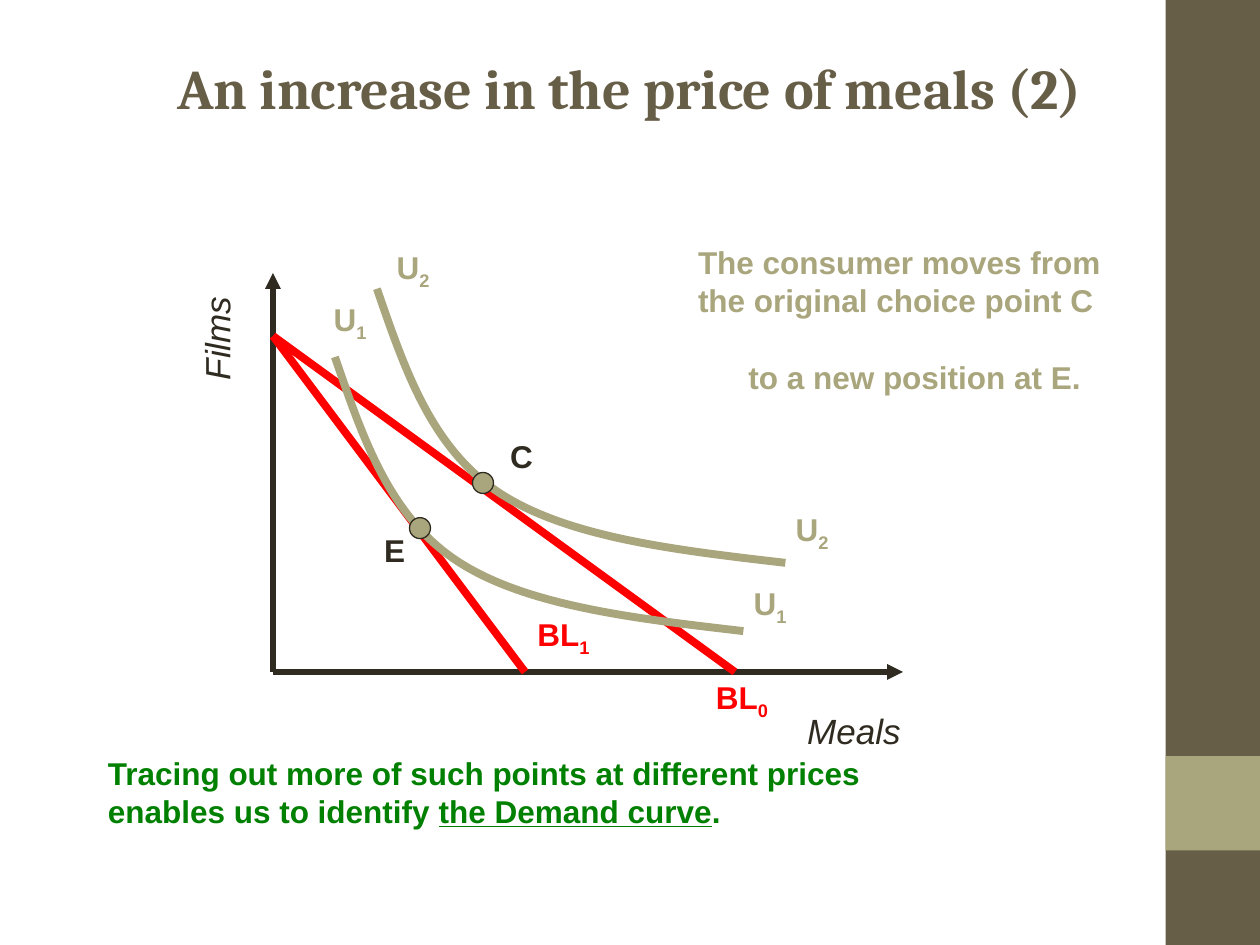
from lxml.etree import SubElement as Sub
from pptx import Presentation
from pptx.dml.color import RGBColor as RGB
from pptx.enum.shapes import MSO_CONNECTOR as Link, MSO_SHAPE as Kind
from pptx.enum.text import MSO_ANCHOR as Anchor, MSO_AUTO_SIZE as Fit, PP_ALIGN as Align
from pptx.oxml.ns import qn
from pptx.util import Inches, Pt

BROWN = RGB(0x67, 0x5E, 0x47)
SAND = RGB(0xA9, 0xA5, 0x7C)
DARK = RGB(0x2F, 0x2B, 0x20)
RED = RGB(0xFF, 0x00, 0x00)
GREEN = RGB(0x00, 0x80, 0x00)
COLS, ROWS = 120, 90


def put(para, text, size=18, color=DARK, face="Arial", bold=True, slant=False, under=False, low=False):
    """Add one formatted run to a paragraph."""
    run = para.add_run()
    run.text = text
    font = run.font
    font.name, font.size, font.bold = face, Pt(size), bold
    font.italic, font.underline = slant, under
    font.color.rgb = color
    if low:
        run._r.get_or_add_rPr().set("baseline", "-25000")


class Board:
    """Style and current slide, measured on a grid of 120 columns by 90 rows."""

    def __init__(self, deck):
        self.slide = deck.slides.add_slide(deck.slide_layouts[5])
        self.shapes = self.slide.shapes
        self.col = deck.slide_width / COLS
        self.row = deck.slide_height / ROWS

    def spot(self, x, y):
        return round(x * self.col), round(y * self.row)

    def title(self, text, x, y, w, h):
        box = self.shapes.title
        box.left, box.top = self.spot(x, y)
        box.width, box.height = self.spot(w, h)
        frame = box.text_frame
        frame.vertical_anchor = Anchor.TOP
        frame.auto_size = Fit.NONE
        para = frame.paragraphs[0]
        para.alignment = Align.CENTER
        put(para, text, size=32, color=BROWN, face="Cambria")

    def block(self, kind, x, y, w, h, fill, edge=None):
        shape = self.shapes.add_shape(kind, *self.spot(x, y), *self.spot(w, h))
        shape.shadow.inherit = False
        shape.fill.solid()
        shape.fill.fore_color.rgb = fill
        if edge is None:
            shape.line.fill.background()
        else:
            shape.line.color.rgb = edge
            shape.line.width = Pt(0.75)

    def dot(self, x, y, size=2):
        self.block(Kind.OVAL, x - size / 2, y - size / 2, size, size, SAND, DARK)

    def line(self, start, end, color, width, arrow=False):
        link = self.shapes.add_connector(Link.STRAIGHT, *self.spot(*start), *self.spot(*end))
        link.line.color.rgb = color
        link.line.width = Pt(width)
        if arrow:
            Sub(link.line._get_or_add_ln(), qn("a:tailEnd"), type="triangle")
        Sub(link._element.spPr, qn("a:effectLst"))

    def curve(self, points, color, width):
        first, *rest = [self.spot(*p) for p in points]
        pen = self.shapes.build_freeform(*first)
        pen.add_line_segments(rest, close=False)
        shape = pen.convert_to_shape()
        shape.shadow.inherit = False
        shape.fill.background()
        shape.line.color.rgb = color
        shape.line.width = Pt(width)
        path = next(shape._element.iter(qn("a:path")))
        legs = path.findall(qn("a:lnTo"))
        for i in range(0, len(legs), 3):
            bend = Sub(path, qn("a:cubicBezTo"))
            for leg in legs[i:i + 3]:
                bend.append(leg[0])
                path.remove(leg)

    def text(self, lines, x, y, w, h, turn=0, **style):
        box = self.shapes.add_textbox(*self.spot(x, y), *self.spot(w, h))
        box.rotation = turn
        frame = box.text_frame
        frame.word_wrap = False
        frame.auto_size = Fit.SHAPE_TO_FIT_TEXT
        for i, runs in enumerate(lines):
            para = frame.add_paragraph() if i else frame.paragraphs[0]
            for words, extra in runs:
                put(para, words, **{**style, **extra})

    def label(self, name, index, x, y, w, color):
        self.text([[(name, {}), (index, {"low": True})]], x, y, w, 5.28, color=color)


def main():
    deck = Presentation()
    deck.slide_width, deck.slide_height = Inches(10), Inches(7.5)
    board = Board(deck)

    board.block(Kind.RECTANGLE, 111, 0, 9, 90, BROWN)
    board.block(Kind.RECTANGLE, 111, 72, 9, 9, SAND)
    board.title("An increase in the price of meals (2)", 9, 4.5, 102, 14.5)

    origin, top = (26, 64), (26, 32)
    for end in ((86, 64), (26, 26)):
        board.line(origin, end, DARK, 3, arrow=True)
    for foot in (70, 50):
        board.line(top, (foot, 64), RED, 4.5)

    axis = {"size": 20, "bold": False, "slant": True}
    board.text([[("Meals", {})]], 75.7, 67, 11.5, 5.28, **axis)
    board.text([[("Films", {})]], 15.2, 29.3, 10.9, 5.28, turn=270, **axis)
    board.label("BL", "0", 67, 64, 7.8, RED)
    board.label("BL", "1", 50, 58, 7.8, RED)

    bend = [(35.9, 27.5), (38.5, 35), (41, 42.6), (47.5, 46.9), (54, 51.2), (64.4, 52.4), (74.8, 53.6)]
    for dx, dy in ((0, 0), (-4, 6.5)):
        board.curve([(x + dx, y + dy) for x, y in bend], SAND, 4.5)
    board.dot(40, 50.3)
    board.dot(46, 46)

    for index, x, y in (("2", 36.6, 23), ("2", 74.6, 48), ("1", 70.6, 55), ("1", 30.6, 28)):
        board.label("U", index, x, y, 5.7, SAND)
    board.text([[("C", {})]], 47.4, 41, 4.56, 4.8)
    board.text([[("E", {})]], 35.4, 50, 4.32, 4.8)

    board.text([[("The consumer moves from", {})], [("the original choice point C", {})]],
               65.3, 22.6, 41.5, 8.4, color=SAND)
    board.text([[("to a new position at E.", {})]], 70.1, 33.5, 34.1, 4.8, color=SAND)
    board.text([[("Tracing out more of such points at different prices", {})],
                [("enables us to identify ", {}), ("the Demand curve", {"under": True}), (".", {})]],
               9.1, 71.2, 74.2, 8.4, color=GREEN)
    deck.save("out.pptx")


if __name__ == "__main__":
    main()
